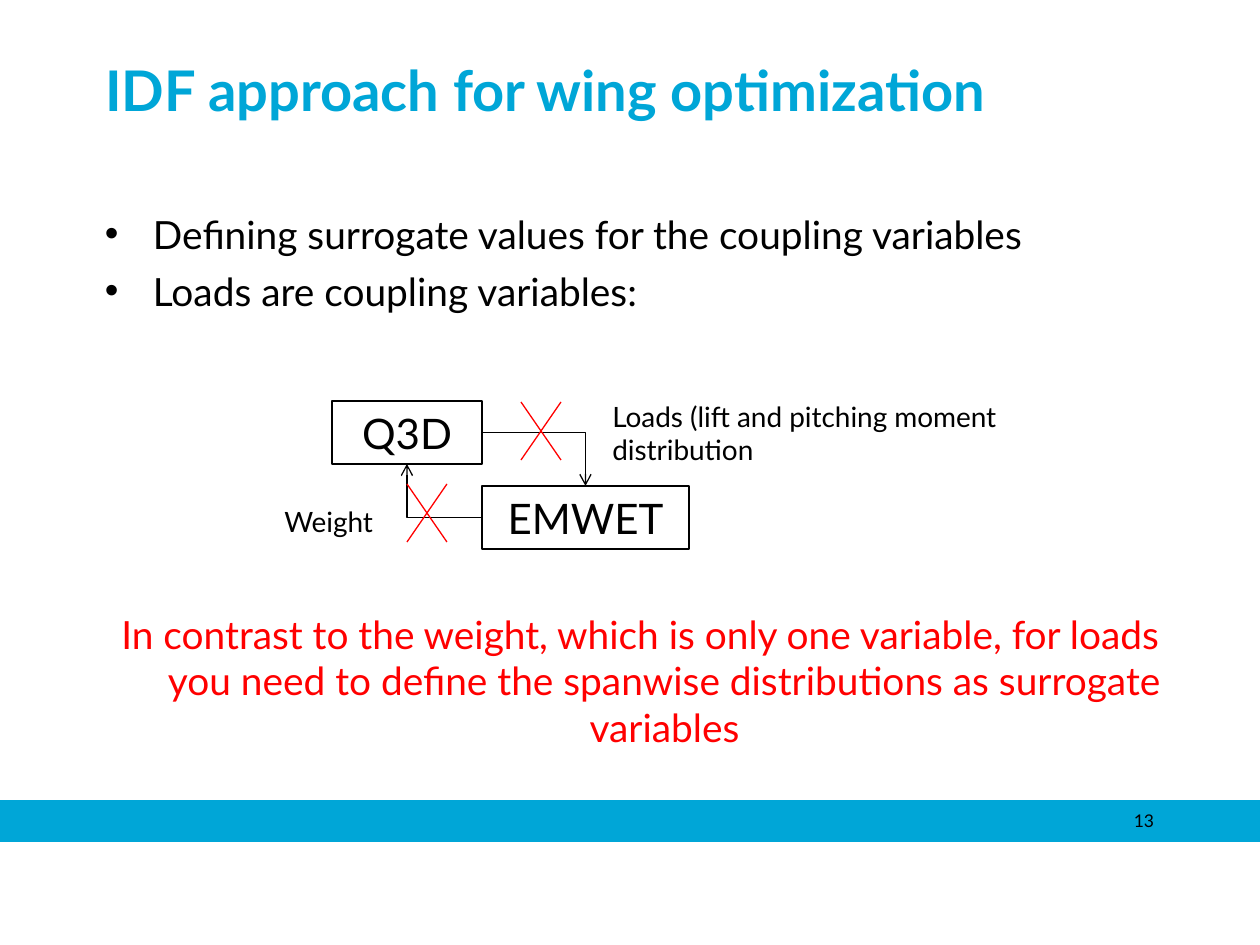
from lxml import etree
from pptx import Presentation
from pptx.dml.color import RGBColor
from pptx.enum.shapes import MSO_CONNECTOR, MSO_SHAPE
from pptx.enum.text import MSO_ANCHOR, MSO_AUTO_SIZE, PP_ALIGN
from pptx.oxml.ns import qn
from pptx.util import Emu, Pt

# Content; places are left, top, width, height in px
SLIDE_SIZE = (1260, 945)
CYAN, BLACK, RED = "00A6D7", "000000", "FF0000"
TITLE = ("IDF approach for wing optimization", (105, 49, 1071, 158))
BULLETS = (["Defining surrogate values for the coupling variables",
            "Loads are coupling variables:"], (105, 204, 1071, 120))
CONCLUSION = ("In contrast to the weight, which is only one variable, for loads "
              "you need to define the spanwise distributions as surrogate variables",
              (105, 604, 1071, 168))
PAGE_NUMBER = ("13", (892, 804, 262, 32))
FOOTER_BAND = (0, 801, 1260, 40)
TOOLS = {"Q3D": (332, 401, 150, 63), "EMWET": (482, 486, 207, 63)}
COUPLINGS = [("Loads (lift and pitching moment distribution", (600, 393, 553, 81)),
             ("Weight", (272, 498, 120, 47))]
CROSSES = [(521, 402), (407, 484)]
CROSS_SIZE = (40, 58)
HANGING = 48


def px(value):
    return Emu(round(value * 914400 / 126))


def color(hex_string):
    return RGBColor.from_string(hex_string)


def set_all(target, values):
    for name, value in values.items():
        setattr(target, name, value)


def write(shape, lines, size, ink=BLACK, bold=False, align=PP_ALIGN.LEFT,
          side=0, anchor=MSO_ANCHOR.TOP, hanging=0, bullet=None):
    frame = shape.text_frame
    set_all(frame, {"word_wrap": True, "auto_size": MSO_AUTO_SIZE.NONE,
                    "vertical_anchor": anchor,
                    "margin_left": px(side), "margin_right": px(side),
                    "margin_top": Pt(3.6), "margin_bottom": Pt(3.6)})
    for index, line in enumerate(lines):
        paragraph = frame.add_paragraph() if index else frame.paragraphs[0]
        paragraph.text = line
        properties = paragraph._p.get_or_add_pPr()
        if hanging:
            properties.set("marL", str(px(hanging)))
            properties.set("indent", str(-px(hanging)))
        if bullet:
            etree.SubElement(properties, qn("a:buFont")).set("typeface", "Arial")
            etree.SubElement(properties, qn("a:buChar")).set("char", bullet)
        set_all(paragraph, {"alignment": align, "space_before": Pt(6 if index else 0)})
        font = paragraph.runs[0].font
        set_all(font, {"name": "Lato", "size": Pt(size), "bold": bold})
        font.color.rgb = color(ink)


def add_text(slide, lines, place, size, **style):
    write(slide.shapes.add_textbox(*map(px, place)), lines, size, **style)


def add_box(slide, place, outline, fill=None):
    box = slide.shapes.add_shape(MSO_SHAPE.RECTANGLE, *map(px, place))
    box.shadow.inherit = False
    if fill:
        box.fill.solid()
        box.fill.fore_color.rgb = color(fill)
    else:
        box.fill.background()
    box.line.color.rgb = color(outline)
    box.line.width = Pt(0.75)
    return box


def add_line(slide, start, end, ink, bent_arrow=False):
    kind = MSO_CONNECTOR.ELBOW if bent_arrow else MSO_CONNECTOR.STRAIGHT
    line = slide.shapes.add_connector(kind, *map(px, start + end))
    line.line.color.rgb = color(ink)
    line.line.width = Pt(0.75)
    properties = line._element.spPr
    etree.SubElement(properties, qn("a:effectLst"))
    if bent_arrow:
        properties.find(qn("a:prstGeom")).set("prst", "bentConnector2")
        etree.SubElement(properties.find(qn("a:ln")), qn("a:tailEnd")).set("type", "arrow")


def main():
    deck = Presentation()
    deck.slide_width, deck.slide_height = map(px, SLIDE_SIZE)
    slide = deck.slides.add_slide(deck.slide_layouts[5])

    # Footer band and page number
    add_box(slide, FOOTER_BAND, CYAN, CYAN)
    number, place = PAGE_NUMBER
    add_text(slide, [number], place, 10, align=PP_ALIGN.RIGHT)

    # Title
    text, place = TITLE
    title = slide.shapes.title
    set_all(title, dict(zip(("left", "top", "width", "height"), map(px, place))))
    write(title, [text], 32, ink=CYAN, bold=True)

    # Bullets and conclusion
    lines, place = BULLETS
    add_text(slide, lines, place, 22.2, hanging=HANGING, bullet="•")
    text, place = CONCLUSION
    add_text(slide, [text], place, 22.2, ink=RED, align=PP_ALIGN.CENTER, hanging=HANGING)

    # Coupled tools
    for name, place in TOOLS.items():
        write(add_box(slide, place, BLACK), [name], 24, align=PP_ALIGN.CENTER,
              side=12.6, anchor=MSO_ANCHOR.MIDDLE)

    # Coupling arrows: right side of Q3D to EMWET top, EMWET left to Q3D bottom
    q_left, q_top, q_width, q_height = TOOLS["Q3D"]
    e_left, e_top, e_width, e_height = TOOLS["EMWET"]
    add_line(slide, (q_left + q_width, q_top + q_height / 2),
             (e_left + e_width / 2, e_top), BLACK, bent_arrow=True)
    add_line(slide, (e_left, e_top + e_height / 2),
             (q_left + q_width / 2, q_top + q_height), BLACK, bent_arrow=True)
    for text, place in COUPLINGS:
        add_text(slide, [text], place, 16, side=12.6)

    # Crosses over the removed couplings
    width, height = CROSS_SIZE
    for left, top in CROSSES:
        add_line(slide, (left + width, top), (left, top + height), RED)
        add_line(slide, (left, top), (left + width, top + height), RED)

    deck.save("out.pptx")


if __name__ == "__main__":
    main()
